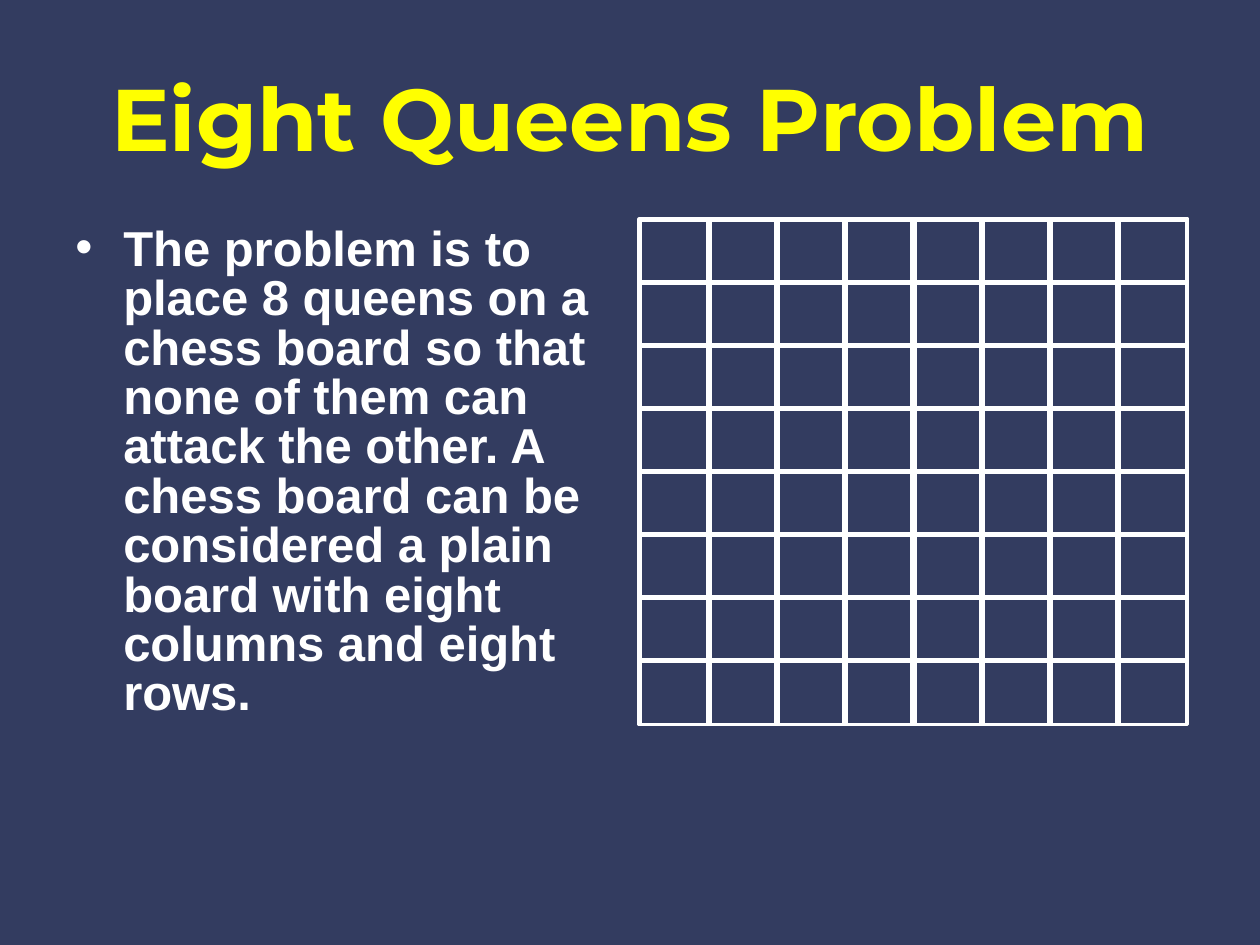
from lxml import etree
from pptx import Presentation
from pptx.dml.color import RGBColor
from pptx.enum.shapes import MSO_CONNECTOR, MSO_SHAPE
from pptx.enum.text import MSO_ANCHOR, PP_ALIGN
from pptx.oxml.ns import qn
from pptx.util import Inches, Pt

NAVY = RGBColor(0x33, 0x3C, 0x60)
YELLOW = RGBColor(0xFF, 0xFF, 0x00)
WHITE = RGBColor(0xFF, 0xFF, 0xFF)
RECT = MSO_SHAPE.RECTANGLE
STRAIGHT = MSO_CONNECTOR.STRAIGHT
MIDDLE, TOP = MSO_ANCHOR.MIDDLE, MSO_ANCHOR.TOP
CENTER, LEFT = PP_ALIGN.CENTER, PP_ALIGN.LEFT

GRID_COLS, GRID_ROWS = 120, 30
TITLE_FONT = {"name": "Montserrat", "size": Pt(50), "bold": True}
BODY_FONT = {"name": "Arial", "size": Pt(28), "bold": True}
TITLE_PARAGRAPH = {"alignment": CENTER}
BODY_PARAGRAPH = {"alignment": LEFT, "line_spacing": 0.84}

TITLE = "Eight Queens Problem"
BODY = (
    "The problem is to place 8 queens on a chess board so that none of them "
    "can attack the other. A chess board can be considered a plain board "
    "with eight columns and eight rows."
)


class SlideBuilder:
    def __init__(self, prs):
        self.col = prs.slide_width / GRID_COLS
        self.row = prs.slide_height / GRID_ROWS
        self.line_width = Pt(2)
        self.overlap = Inches(0.01)
        self.s = prs.slides.add_slide(prs.slide_layouts[6])
        fill = self.s.background.fill
        fill.solid()
        fill.fore_color.rgb = NAVY

    def place(self, x, y):
        return round(x * self.col), round(y * self.row)

    def text(self, box, text, font, color, paragraph, anchor):
        x, y, w, h = box
        sp = self.s.shapes.add_textbox(*self.place(x, y), *self.place(w, h))
        tf = sp.text_frame
        tf.word_wrap = True
        tf.vertical_anchor = anchor
        p = tf.paragraphs[0]
        for name, value in paragraph.items():
            setattr(p, name, value)
        r = p.add_run()
        r.text = text
        for name, value in font.items():
            setattr(r.font, name, value)
        r.font.color.rgb = color
        return p

    def bullet(self, p, indent):
        pPr = p._p.get_or_add_pPr()
        pPr.set("marL", str(Inches(indent)))
        pPr.set("indent", str(-Inches(indent)))
        etree.SubElement(pPr, qn("a:buFont")).set("typeface", "Arial")
        etree.SubElement(pPr, qn("a:buChar")).set("char", "•")

    def outline(self, sp):
        sp.line.color.rgb = WHITE
        sp.line.width = self.line_width

    def cell(self, group, x, y, w, h):
        left, top = self.place(x, y)
        width, height = self.place(w, h)
        sp = group.shapes.add_shape(
            RECT,
            left - self.overlap,
            top - self.overlap,
            width + 2 * self.overlap,
            height + self.overlap,
        )
        sp.shadow.inherit = False
        sp.fill.background()
        self.outline(sp)

    def line(self, group, x1, y1, x2, y2):
        sp = group.shapes.add_connector(
            STRAIGHT, *self.place(x1, y1), *self.place(x2, y2)
        )
        self.outline(sp)
        etree.SubElement(sp._element.spPr, qn("a:effectLst"))

    def board(self, x, y, w, h, count):
        group = self.s.shapes.add_group_shape()
        xs = [x + i * w for i in range(count + 1)]
        ys = [y + i * h for i in range(count + 1)]
        for top in reversed(ys[:-1]):
            for left in reversed(xs[:-1]):
                self.cell(group, left, top, w, h)
        for top in ys:
            self.line(group, xs[0], top, xs[-1], top)
        for left in xs:
            self.line(group, left, ys[0], left, ys[-1])


def main():
    prs = Presentation()
    prs.slide_width, prs.slide_height = Inches(10), Inches(7.5)
    builder = SlideBuilder(prs)
    builder.text((6, 1.2, 108, 5), TITLE, TITLE_FONT, YELLOW, TITLE_PARAGRAPH, MIDDLE)
    p = builder.text((6, 7, 52.9, 19.8), BODY, BODY_FONT, WHITE, BODY_PARAGRAPH, TOP)
    builder.bullet(p, 0.38)
    builder.board(61, 7, 6.5, 2, 8)
    prs.save("out.pptx")


if __name__ == "__main__":
    main()
